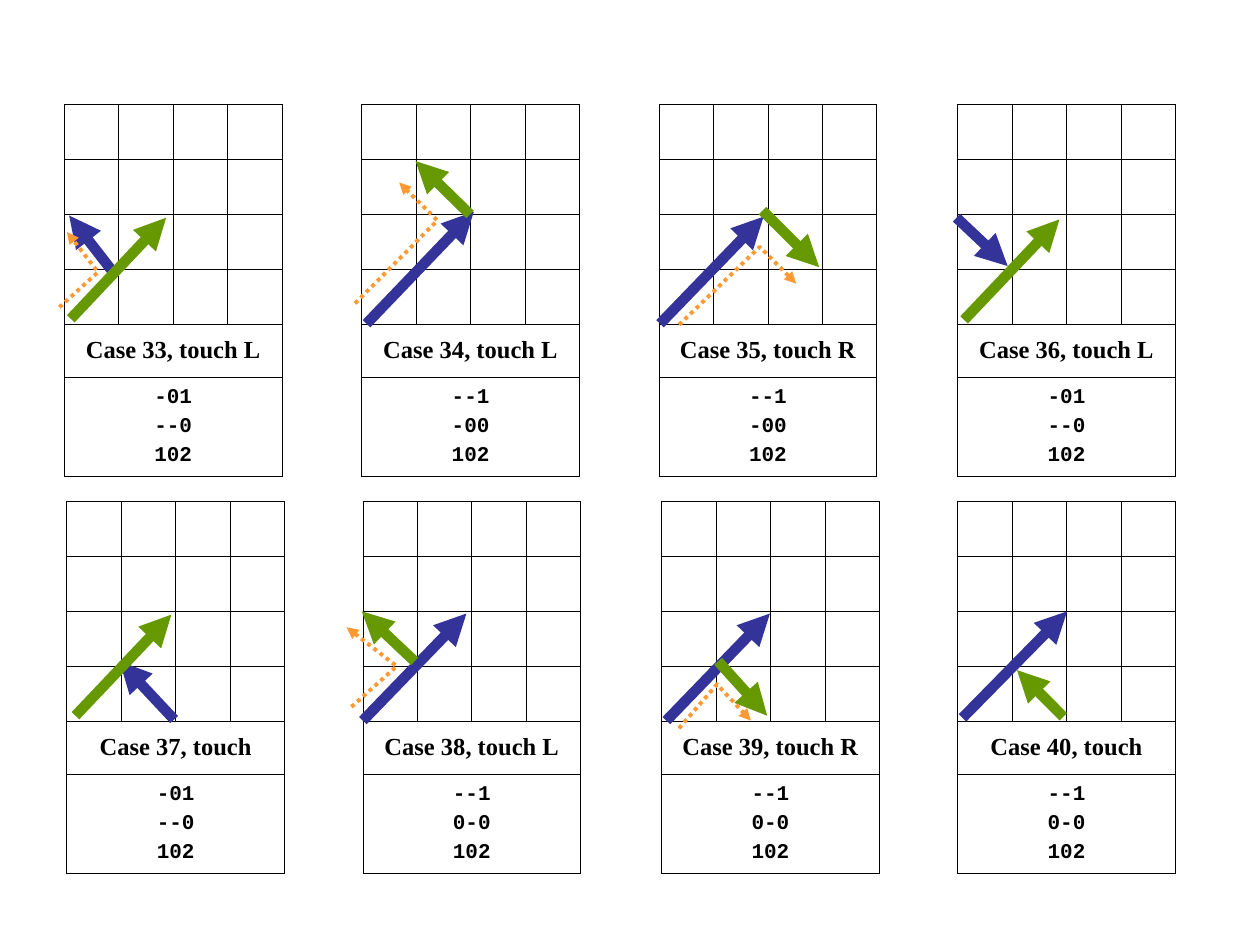
from lxml import etree
from pptx import Presentation, util as u
from pptx.dml.color import RGBColor
from pptx.enum import dml, shapes, text
from pptx.oxml import ns

COL, ROW = 0.4325, 0.436
HEAD, BODY = 0.42, 0.79
TOPS = (0.83, 3.98)
LEFTS = ((0.51, 2.87, 5.23, 7.6), (0.53, 2.88, 5.25, 7.6))
BLUE, GREEN, GOLD, BLACK = "333399", "669900", "FF9933", "000000"

# Each case: label, code lines, then blue, green and dotted paths in grid cells.
CASES = (
    (
        ("Case 33, touch L", "-01 --0 102",
         ((0.88, 3.03), (0.09, 2.02)),
         ((0.12, 3.9), (1.87, 2.06)),
         ((-0.09, 3.69), (0.62, 3.05), (0.05, 2.32))),
        ("Case 34, touch L", "--1 -00 102",
         ((0.09, 3.99), (2.06, 1.95)),
         ((1.99, 2), (0.99, 1.03)),
         ((-0.12, 3.62), (1.39, 2.11), (0.69, 1.42))),
        ("Case 35, touch R", "--1 -00 102",
         ((0.02, 3.99), (1.92, 2.04)),
         ((1.9, 1.93), (2.94, 2.96)),
         ((0.37, 4.01), (1.85, 2.59), (2.52, 3.26))),
        ("Case 36, touch L", "-01 --0 102",
         ((-0.02, 2.06), (0.92, 2.94)),
         ((0.12, 3.92), (1.87, 2.09))),
    ),
    (
        ("Case 37, touch", "-01 --0 102",
         ((1.97, 3.97), (0.97, 2.91)),
         ((0.16, 3.9), (1.92, 2.06))),
        ("Case 38, touch L", "--1 0-0 102",
         ((0, 3.99), (1.9, 2.04)),
         ((0.95, 2.91), (-0.02, 2)),
         ((-0.21, 3.74), (0.62, 3), (-0.3, 2.29))),
        ("Case 39, touch R", "--1 0-0 102",
         ((0.09, 3.99), (1.99, 2.04)),
         ((1.04, 2.91), (1.94, 3.9)),
         ((0.32, 4.13), (1.02, 3.33), (1.64, 3.99))),
        ("Case 40, touch", "--1 0-0 102",
         ((0.09, 3.94), (2.01, 2)),
         ((1.94, 3.92), (1.09, 3.07))),
    ),
)


def rgb(code):
    """Turn a hex string into a colour."""
    return RGBColor.from_string(code)


def write(cell, lines, font, size, gap=0):
    """Fill a cell with bold centred lines, with a gap between them."""
    cell.vertical_anchor = text.MSO_ANCHOR.MIDDLE
    frame = cell.text_frame
    for i, line in enumerate(lines):
        para = frame.paragraphs[0] if i == 0 else frame.add_paragraph()
        para.alignment = text.PP_ALIGN.CENTER
        para.space_before = u.Pt(gap if i else 0)
        run = para.add_run()
        run.text = line
        run.font.name, run.font.size, run.font.bold = font, u.Pt(size), True
        run.font.color.rgb = rgb(BLACK)


def border(cell, width=0.45):
    """Clear the fill of a cell and rule its four sides."""
    cell.fill.background()
    props = cell._tc.get_or_add_tcPr()
    for i, side in enumerate("LRTB"):
        line = etree.Element(ns.qn("a:ln" + side), w=str(u.Pt(width)))
        fill = etree.SubElement(line, ns.qn("a:solidFill"))
        etree.SubElement(fill, ns.qn("a:srgbClr"), val=BLACK)
        props.insert(i, line)


def grid(slide, left, top, label, code):
    """Draw the four by four grid with its label and code rows."""
    high = 4 * ROW + HEAD + BODY
    table = slide.shapes.add_table(
        6, 4, u.Inches(left), u.Inches(top), u.Inches(4 * COL), u.Inches(high)
    ).table
    table.first_row = table.horz_banding = False
    for col in table.columns:
        col.width = u.Inches(COL)
    for row, size in zip(table.rows, [ROW] * 4 + [HEAD, BODY]):
        row.height = u.Inches(size)
    for cell in list(table.iter_cells()):
        border(cell)
    for i in (4, 5):
        table.cell(i, 0).merge(table.cell(i, 3))
    write(table.cell(4, 0), [label], "Times New Roman", 14)
    write(table.cell(5, 0), code.split(), "Courier New", 12, gap=3)


def arrow(slide, left, top, path, color, width, dash=None):
    """Draw an arrow along a path of grid points."""
    pts = [(u.Inches(left + x * COL), u.Inches(top + y * ROW)) for x, y in path]
    if len(pts) == 2:
        shape = slide.shapes.add_connector(
            shapes.MSO_CONNECTOR.STRAIGHT, *pts[0], *pts[1])
    else:
        pen = slide.shapes.build_freeform(*pts[0])
        pen.add_line_segments(pts[1:], close=False)
        shape = pen.convert_to_shape()
        shape.fill.background()
    shape.line.color.rgb = rgb(color)
    shape.line.width = u.Pt(width)
    if dash:
        shape.line.dash_style = dash
    props = shape._element.spPr
    line = props.find(ns.qn("a:ln"))
    etree.SubElement(line, ns.qn("a:tailEnd"), type="triangle")
    etree.SubElement(props, ns.qn("a:effectLst"))


def case(slide, left, top, label, code, blue, green, gold=None):
    """Draw one case: its grid, two solid arrows and any dotted one."""
    grid(slide, left, top, label, code)
    arrow(slide, left, top, blue, BLUE, 6)
    arrow(slide, left, top, green, GREEN, 6)
    if gold:
        arrow(slide, left, top, gold, GOLD, 2.25, dml.MSO_LINE.ROUND_DOT)


def main():
    """Build the slide of eight cases."""
    deck = Presentation()
    deck.slide_width, deck.slide_height = u.Inches(10), u.Inches(7.5)
    slide = deck.slides.add_slide(deck.slide_layouts[6])
    for top, lefts, row in zip(TOPS, LEFTS, CASES):
        for left, parts in zip(lefts, row):
            case(slide, left, top, *parts)
    deck.save("out.pptx")


if __name__ == "__main__":
    main()
